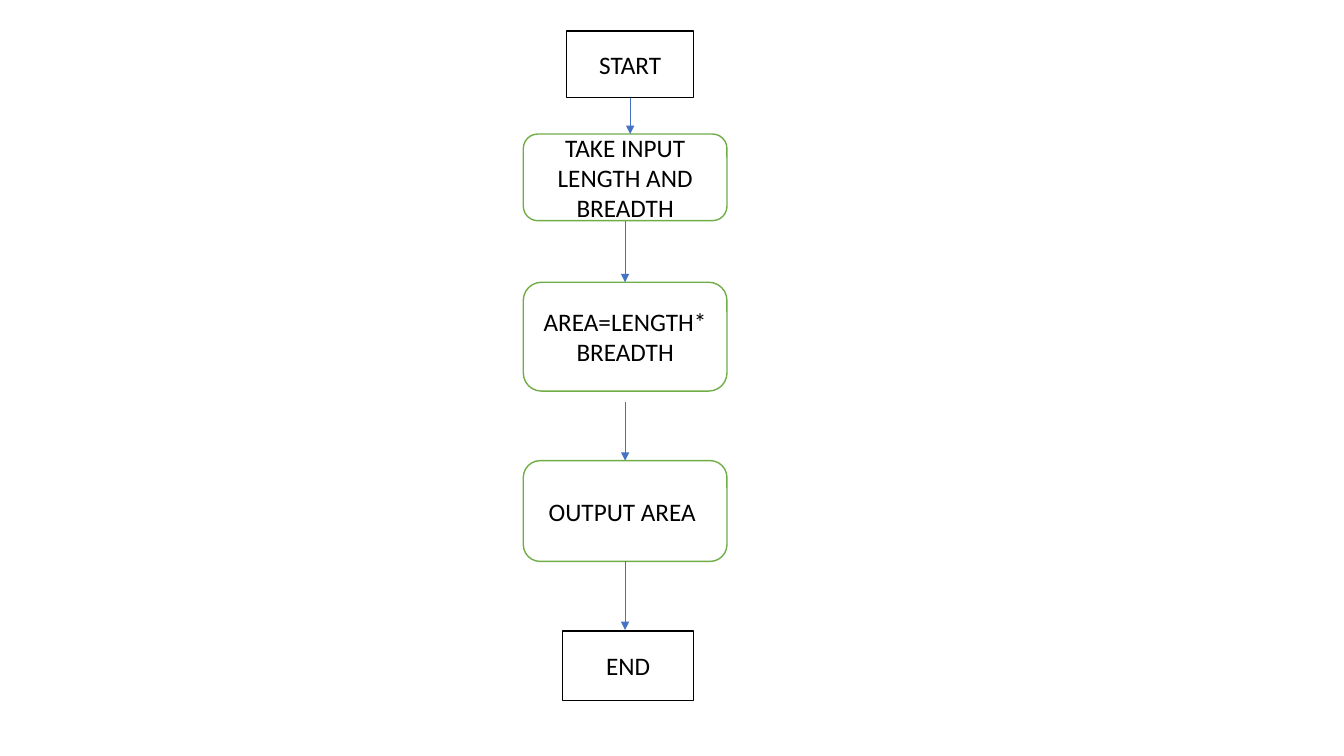
"""Build a flowchart slide that computes the area of a rectangle."""
from dataclasses import dataclass
from typing import Optional

from lxml import etree
from pptx import Presentation
from pptx.dml.color import RGBColor
from pptx.enum.shapes import MSO_CONNECTOR, MSO_SHAPE
from pptx.enum.text import MSO_ANCHOR, PP_ALIGN
from pptx.oxml.ns import qn
from pptx.shapes.autoshape import Shape
from pptx.slide import Slide
from pptx.util import Inches, Pt

RECTANGLE = MSO_SHAPE.RECTANGLE
ROUNDED = MSO_SHAPE.ROUNDED_RECTANGLE
STRAIGHT = MSO_CONNECTOR.STRAIGHT
MIDDLE = MSO_ANCHOR.MIDDLE
CENTER = PP_ALIGN.CENTER

WHITE = RGBColor(0xFF, 0xFF, 0xFF)
BLACK = RGBColor(0x00, 0x00, 0x00)
GREEN = RGBColor(0x70, 0xAD, 0x47)
BLUE = RGBColor(0x44, 0x72, 0xC4)

FONT = "Calibri"
TOP, BOTTOM = 0, 2
BLANK_LAYOUT = 6
STEP_LEFT, STEP_WIDTH = 5.19, 2.02
STEP_CENTER = STEP_LEFT + STEP_WIDTH / 2


@dataclass(frozen=True)
class Box:
    text: str
    top: float
    height: float
    left: float = STEP_LEFT
    width: float = STEP_WIDTH
    preset: MSO_SHAPE = ROUNDED
    line_color: RGBColor = GREEN


@dataclass(frozen=True)
class Arrow:
    start: float
    end: float
    center: float = STEP_CENTER
    source: Optional[str] = None
    target: Optional[str] = None


START = Box("START", 0.31, 0.66, 5.62, 1.26, RECTANGLE, BLACK)
TAKE_INPUT = Box("TAKE INPUT LENGTH AND BREADTH", 1.33, 0.86)
COMPUTE = Box("AREA=LENGTH*BREADTH", 2.8, 1.08)
OUTPUT = Box("OUTPUT AREA ", 4.57, 1)
END = Box("END", 6.26, 0.69, 5.58, 1.3, RECTANGLE, BLACK)
BOXES = (START, TAKE_INPUT, COMPUTE, OUTPUT, END)

ARROWS = (
    Arrow(0.97, 1.33, center=6.25, source=START.text),
    Arrow(2.19, 2.8, source=TAKE_INPUT.text, target=COMPUTE.text),
    Arrow(3.99, 4.57, target=OUTPUT.text),
    Arrow(5.57, 6.25, source=OUTPUT.text),
)


def draw_box(slide: Slide, box: Box) -> Shape:
    """Draw one outlined box with centred text."""
    shape = slide.shapes.add_shape(
        box.preset, Inches(box.left), Inches(box.top), Inches(box.width), Inches(box.height)
    )
    shape.shadow.inherit = False
    shape.fill.solid()
    shape.fill.fore_color.rgb = WHITE
    shape.line.color.rgb = box.line_color
    shape.line.width = Pt(1)
    text_frame = shape.text_frame
    text_frame.text = box.text
    text_frame.word_wrap = True
    text_frame.vertical_anchor = MIDDLE
    paragraph = text_frame.paragraphs[0]
    paragraph.alignment = CENTER
    font = paragraph.runs[0].font
    font.name = FONT
    font.size = Pt(18)
    font.color.rgb = BLACK
    return shape


def draw_arrow(slide: Slide, arrow: Arrow, shapes: dict[str, Shape]) -> None:
    """Draw one downward arrow and join it to its boxes."""
    center = Inches(arrow.center)
    connector = slide.shapes.add_connector(
        STRAIGHT, center, Inches(arrow.start), center, Inches(arrow.end)
    )
    if arrow.source:
        connector.begin_connect(shapes[arrow.source], BOTTOM)
    if arrow.target:
        connector.end_connect(shapes[arrow.target], TOP)
    connector.line.color.rgb = BLUE
    connector.line.width = Pt(0.5)
    properties = connector._element.spPr
    etree.SubElement(properties.find(qn("a:ln")), qn("a:tailEnd"), type="triangle")
    etree.SubElement(properties, qn("a:effectLst"))


def main() -> None:
    """Create the presentation and save it."""
    presentation = Presentation()
    presentation.slide_width = Inches(13.33)
    presentation.slide_height = Inches(7.5)
    slide = presentation.slides.add_slide(presentation.slide_layouts[BLANK_LAYOUT])
    shapes = {box.text: draw_box(slide, box) for box in BOXES}
    for arrow in ARROWS:
        draw_arrow(slide, arrow, shapes)
    presentation.save("out.pptx")


if __name__ == "__main__":
    main()
